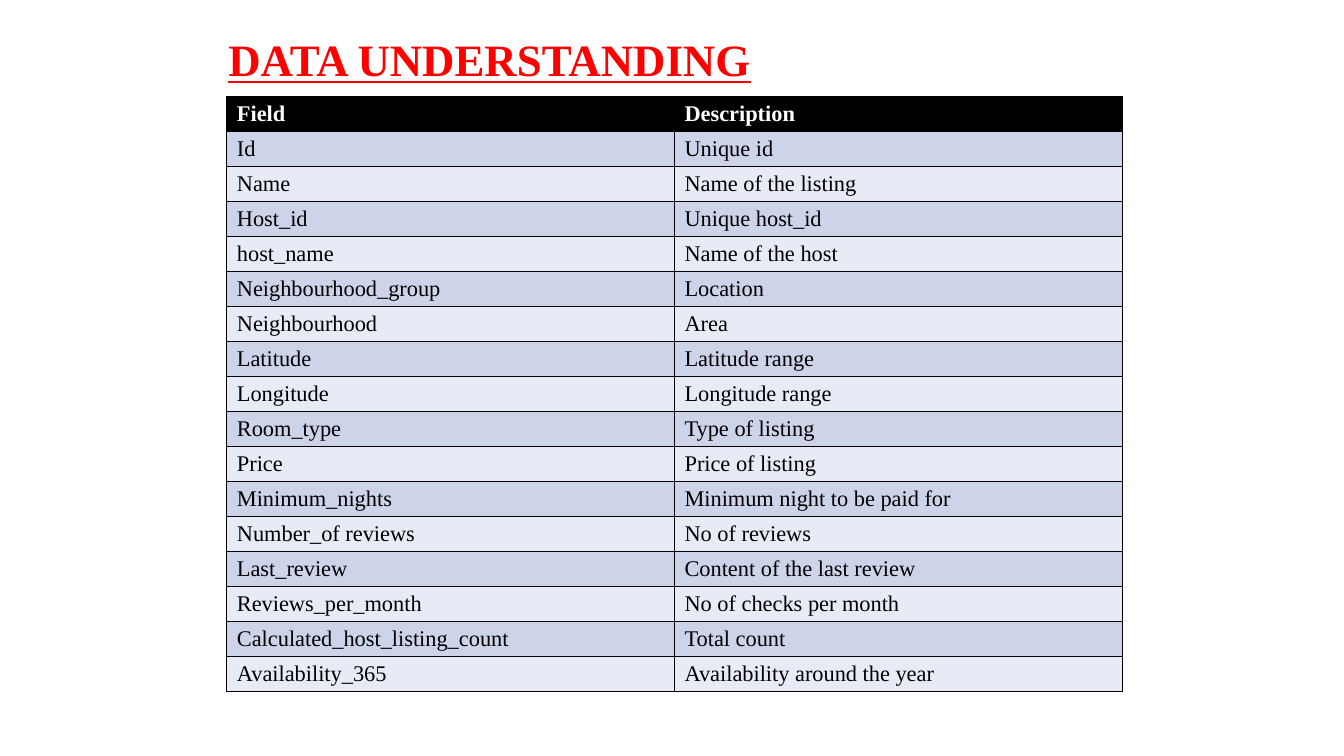
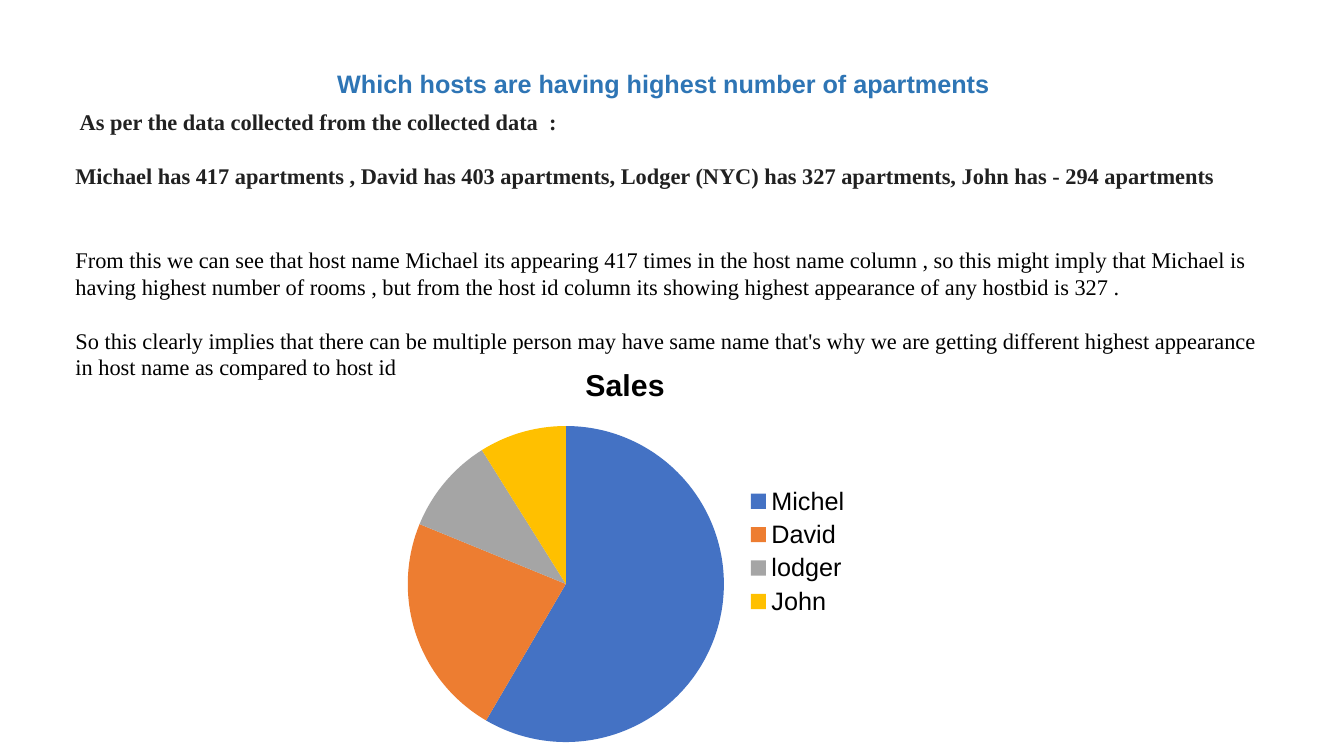
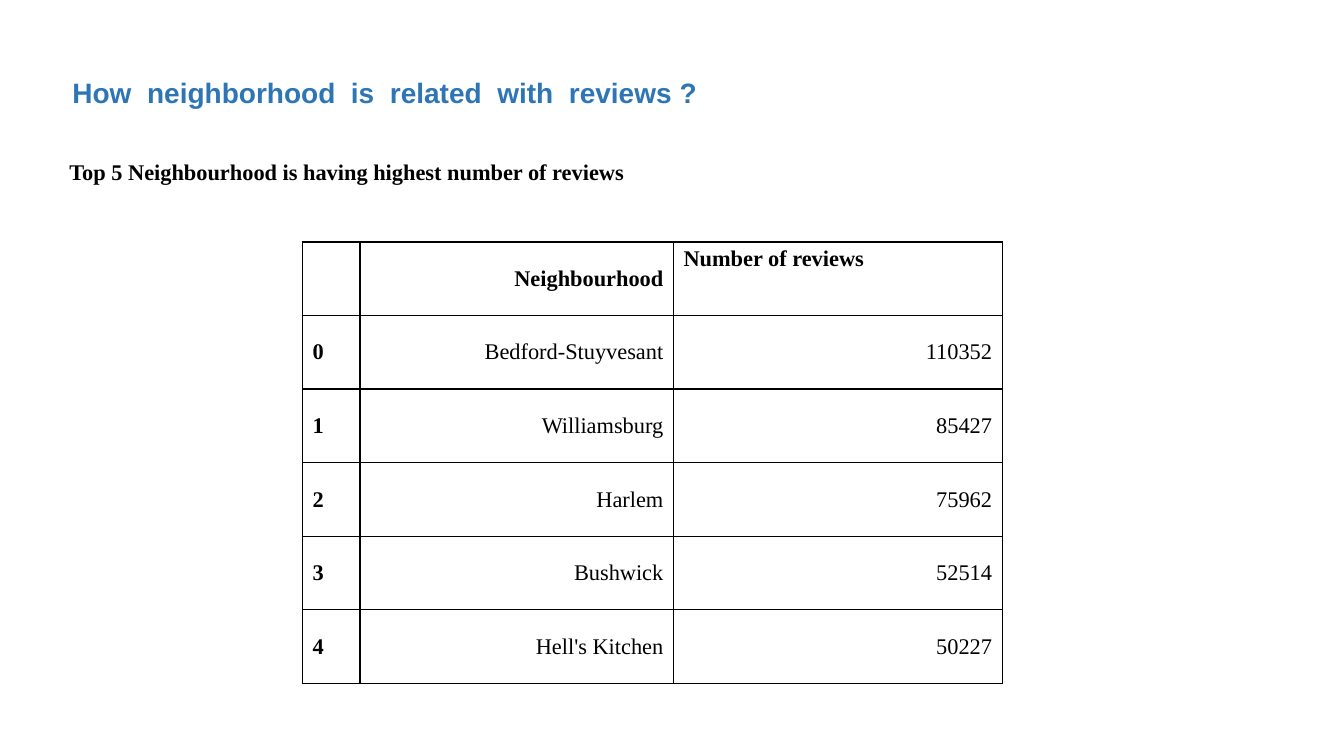
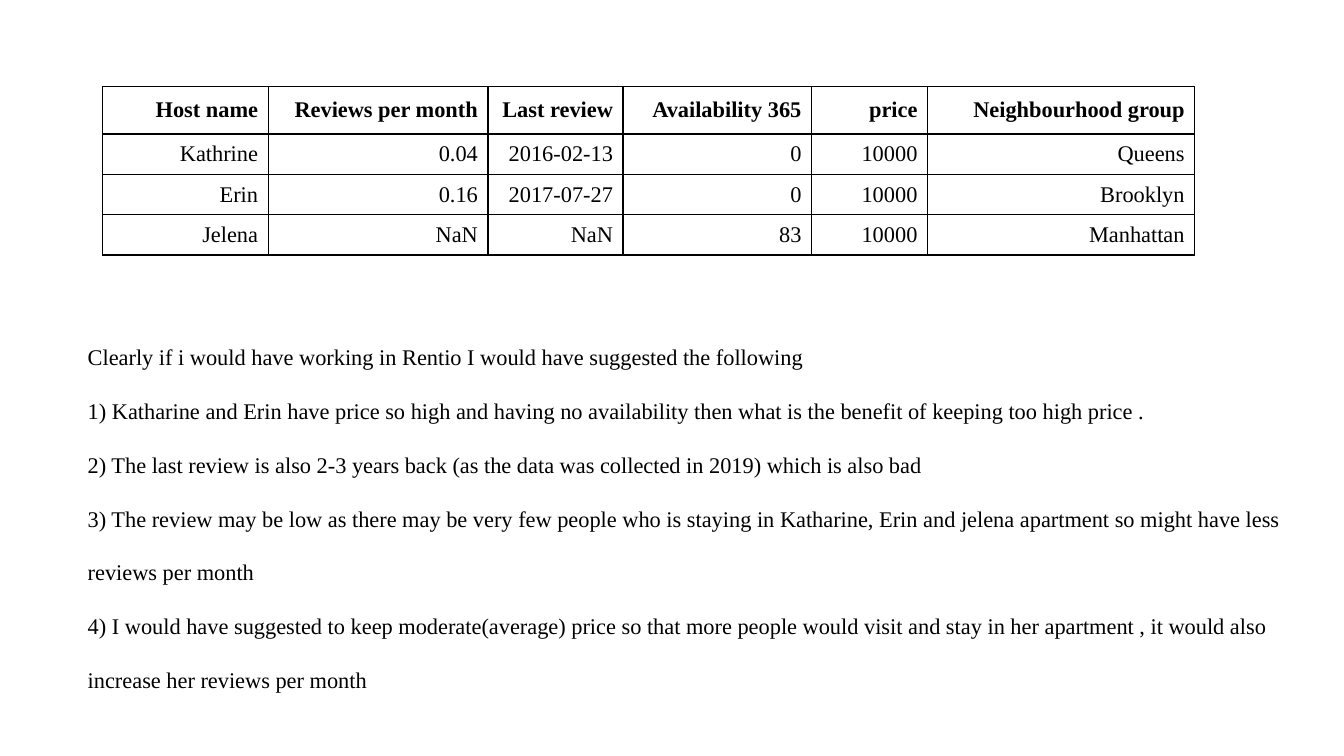
from dataclasses import dataclass

from lxml.etree import SubElement
from pptx import Presentation
from pptx.chart.data import CategoryChartData
from pptx.dml.color import RGBColor
from pptx.enum.chart import XL_CHART_TYPE as ChartType, XL_LEGEND_POSITION as LegendPosition
from pptx.enum.shapes import MSO_SHAPE as Preset
from pptx.enum.text import MSO_ANCHOR as Anchor, MSO_AUTO_SIZE as AutoSize, PP_ALIGN as Align
from pptx.oxml.ns import qn
from pptx.util import Inches, Pt

TITLE_AND_BODY, TITLE_ONLY = 1, 5


# Shared style
@dataclass(frozen=True)
class Theme:
    serif: str = "Times New Roman"
    sans: str = "Arial"
    black: str = "000000"
    white: str = "FFFFFF"
    charcoal: str = "212121"
    red: str = "FF0000"
    blue: str = "2E75B5"
    bands: tuple = ("CDD4EA", "E8EBF5")
    slices: tuple = ("4472C4", "ED7D31", "A5A5A5", "FFC000")
    text: float = 16
    label: float = 18
    chart_title: float = 21.6
    question: float = 20
    heading: float = 32
    border: float = 1


THEME = Theme()
BODY = {"name": THEME.serif, "size": THEME.text, "color": THEME.black, "bold": False}
STRONG = BODY | {"bold": True}
QUESTION = {"name": THEME.sans, "size": THEME.label, "color": THEME.blue, "bold": True}


def set_all(target, **values):
    for attribute, value in values.items():
        setattr(target, attribute, value)


def set_font(font, look):
    for attribute, value in look.items():
        if attribute == "color":
            font.color.rgb = RGBColor.from_string(value)
        else:
            setattr(font, attribute, Pt(value) if attribute == "size" else value)


def set_fill(fill, color):
    if color:
        fill.solid()
        fill.fore_color.rgb = RGBColor.from_string(color)
    else:
        fill.background()


class Deck:
    def __init__(self, theme):
        self.theme = theme
        self.prs = Presentation()
        set_all(self.prs, slide_width=Inches(13.33), slide_height=Inches(7.5))
        self.slide = None

    def new_slide(self, layout=TITLE_ONLY):
        self.slide = self.prs.slides.add_slide(self.prs.slide_layouts[layout])

    def place(self, shape, box):
        sides = ("left", "top", "width", "height")
        set_all(shape, **dict(zip(sides, map(Inches, box))))
        return shape

    def fill_text(self, frame, lines, anchor=Anchor.TOP, **paragraph_format):
        """Fill a frame with (text, look, space before) lines."""
        set_all(frame, word_wrap=True, auto_size=AutoSize.NONE, vertical_anchor=anchor)
        for index, (text, look, gap) in enumerate(lines):
            paragraph = frame.add_paragraph() if index else frame.paragraphs[0]
            set_all(paragraph, space_before=Pt(gap), **paragraph_format)
            run = paragraph.add_run()
            run.text = text
            set_font(run.font, look)

    def title(self, text, box, look, **settings):
        heading = self.place(self.slide.shapes.title, box)
        self.fill_text(heading.text_frame, [(text, look, 0)], **settings)

    def text(self, text, box, look):
        label = self.slide.shapes.add_textbox(*map(Inches, box))
        self.fill_text(label.text_frame, [(text, look, 0)])

    def panel(self, lines, box, **settings):
        panel = self.slide.shapes.add_shape(Preset.RECTANGLE, *map(Inches, box))
        panel.shadow.inherit = False
        panel.line.fill.background()
        set_fill(panel.fill, self.theme.white)
        set_all(panel.text_frame, margin_top=Inches(0.02), margin_bottom=0)
        self.fill_text(panel.text_frame, lines, alignment=Align.LEFT, **settings)

    def body(self, lines, box, **settings):
        """Use the body placeholder alone, without bullets."""
        heading = self.slide.shapes.title.element
        heading.getparent().remove(heading)
        content = self.place(self.slide.placeholders[1], box)
        self.fill_text(content.text_frame, [(line, BODY, 0) for line in lines], **settings)
        for paragraph in content.text_frame.paragraphs:
            properties = paragraph._p.get_or_add_pPr()
            for indent in ("marL", "indent"):
                properties.set(indent, "0")
            SubElement(properties, qn("a:buNone"))

    def cell_borders(self, cell):
        properties = cell._tc.get_or_add_tcPr()
        for side in ("lnL", "lnR", "lnT", "lnB"):
            line = SubElement(properties, qn(f"a:{side}"), w=str(Pt(self.theme.border)))
            paint = SubElement(line, qn("a:solidFill"))
            SubElement(paint, qn("a:srgbClr"), val=self.theme.black)

    def table(self, rows, corner, widths, heights, cell_format):
        """cell_format(row, column) gives look, fill, alignment and anchor."""
        size = (sum(widths), sum(heights))
        table = self.slide.shapes.add_table(
            len(rows), len(widths), *map(Inches, corner + size)).table
        set_all(table, first_row=False, horz_banding=False)
        for column, width in zip(table.columns, widths):
            column.width = Inches(width)
        for row, height in zip(table.rows, heights):
            row.height = Inches(height)
        for r, values in enumerate(rows):
            for c, value in enumerate(values):
                cell = table.cell(r, c)
                look, fill, alignment, anchor = cell_format(r, c)
                self.cell_borders(cell)
                set_fill(cell.fill, fill)
                cell.vertical_anchor = anchor
                paragraph = cell.text_frame.paragraphs[0]
                paragraph.alignment = alignment
                if value:
                    run = paragraph.add_run()
                    run.text = value
                    set_font(run.font, look)

    def pie(self, name, shares, box):
        data = CategoryChartData()
        data.categories = list(shares)
        data.add_series(name, list(shares.values()))
        chart = self.slide.shapes.add_chart(ChartType.PIE, *map(Inches, box), data).chart
        look = {"name": self.theme.sans, "size": self.theme.label, "color": self.theme.black}
        set_font(chart.font, look)
        chart.has_title = True
        caption = chart.chart_title.text_frame.paragraphs[0].add_run()
        caption.text = name
        set_font(caption.font, look | {"size": self.theme.chart_title, "bold": True})
        chart.has_legend = True
        set_all(chart.legend, position=LegendPosition.RIGHT, include_in_layout=False)
        plot = chart.plots[0]
        plot.vary_by_categories = True
        for index, color in enumerate(self.theme.slices):
            set_fill(plot.series[0].points[index].format.fill, color)


# Slide 1: the fields of the data set
def data_fields(deck):
    fields = [
        ("Field", "Description"),
        ("Id", "Unique id"),
        ("Name", "Name of the listing"),
        ("Host_id", "Unique host_id"),
        ("host_name", "Name of the host"),
        ("Neighbourhood_group", "Location"),
        ("Neighbourhood", "Area"),
        ("Latitude", "Latitude range"),
        ("Longitude", "Longitude range"),
        ("Room_type", "Type of listing"),
        ("Price", "Price of listing"),
        ("Minimum_nights", "Minimum night to be paid for"),
        ("Number_of reviews", "No of reviews"),
        ("Last_review", "Content of the last review"),
        ("Reviews_per_month", "No of checks per month"),
        ("Calculated_host_listing_count", "Total count"),
        ("Availability_365", "Availability around the year"),
    ]

    def banded(row, column):
        if row == 0:
            return STRONG | {"color": THEME.white}, THEME.black, Align.LEFT, Anchor.TOP
        return BODY, THEME.bands[(row - 1) % 2], Align.LEFT, Anchor.TOP

    deck.new_slide()
    heading = STRONG | {"size": THEME.heading, "color": THEME.red, "underline": True}
    deck.title("DATA UNDERSTANDING", (2.04, 0.26, 5.63, 0.72), heading,
               anchor=Anchor.MIDDLE, alignment=Align.CENTER, line_spacing=0.9)
    deck.table(fields, (2.25, 0.96), (4.44, 4.44), (0.31,) * len(fields), banded)


# Slide 2: hosts with the most apartments
def top_hosts(deck):
    finding = STRONG | {"color": THEME.charcoal}
    deck.new_slide()
    deck.title("Which hosts are having highest number of apartments ",
               (3.09, 0.63, 7.05, 0.4), QUESTION, alignment=Align.CENTER)
    deck.panel([
        (" As per the data collected from the collected data  :", finding, 0),
        ("Michael has 417 apartments , David has 403 apartments, Lodger (NYC) has 327 "
         "apartments, John has - 294 apartments", finding, 19.5),
        ("From this we can see that host name Michael its appearing 417 times in the host "
         "name column , so this might imply that Michael is having highest number of rooms , "
         "but from the host id column its showing highest appearance of any hostbid is 327 .",
         BODY, 41),
        ("So this clearly implies that there can be multiple person may have same name that's "
         "why we are getting different highest appearance in host name as compared to host id",
         BODY, 19.5),
    ], (0.65, 1.06, 12.13, 3.94), line_spacing=Pt(19))
    deck.pie("Sales", {"Michel": 59, "David": 23, "lodger": 10, "John": 9},
             (3.86, 3.44, 4.68, 4.06))


# Slide 3: neighbourhoods with the most reviews
def neighbourhood_reviews(deck):
    reviews = {"Bedford-Stuyvesant": 110352, "Williamsburg": 85427, "Harlem": 75962,
               "Bushwick": 52514, "Hell's Kitchen": 50227}
    rows = [("", "Neighbourhood", "Number of reviews")]
    rows += [(str(rank), area, str(count)) for rank, (area, count) in enumerate(reviews.items())]

    def ranked(row, column):
        look = STRONG if row == 0 or column == 0 else BODY
        last_header = (row, column) == (0, 2)
        alignment = Align.LEFT if column == 0 or last_header else Align.RIGHT
        return look, None, alignment, Anchor.TOP if last_header else Anchor.MIDDLE

    deck.new_slide()
    deck.title(" How  neighborhood  is  related  with  reviews ?", (0.54, 0.47, 6.6, 0.59),
               QUESTION | {"size": THEME.question}, alignment=Align.LEFT, line_spacing=1.7)
    deck.text("Top 5 Neighbourhood is having highest number of reviews",
              (0.59, 1.52, 5.77, 0.37), STRONG)
    deck.table(rows, (3, 2.4), (0.57, 3.11, 3.26), (0.73,) * len(rows), ranked)


# Slide 4: the dearest listings and advice
def price_advice(deck):
    listings = [
        ("Host name", "Reviews per month", "Last review", "Availability 365", "price",
         "Neighbourhood group"),
        ("Kathrine", "0.04", "2016-02-13", "0", "10000", "Queens"),
        ("Erin", "0.16", "2017-07-27", "0", "10000", "Brooklyn"),
        ("Jelena", "NaN", "NaN", "83", "10000", "Manhattan"),
    ]

    def plain(row, column):
        return BODY if row else STRONG, THEME.white, Align.RIGHT, Anchor.MIDDLE

    deck.new_slide(TITLE_AND_BODY)
    deck.body([
        "Clearly if i would have working in Rentio I would have suggested the following",
        "1) Katharine and Erin have price so high and having no availability then what is the "
        "benefit of keeping too high price .",
        "2) The last review is also 2-3 years back (as the data was collected in 2019) which "
        "is also bad",
        "3) The review may be low as there may be very few people who is staying in Katharine, "
        "Erin and jelena apartment so might have less reviews per month",
        "4) I would have suggested to keep moderate(average) price so that more people would "
        "visit and stay in her apartment , it would also increase her reviews per month",
    ], (0.77, 3.09, 12.17, 3.87), line_spacing=Pt(38.4), alignment=Align.LEFT)
    deck.table(listings, (1.02, 0.86), (1.64, 2.18, 1.34, 1.87, 1.15, 2.65),
               (0.47, 0.4, 0.4, 0.4), plain)


def main():
    deck = Deck(THEME)
    for build in (data_fields, top_hosts, neighbourhood_reviews, price_advice):
        build(deck)
    deck.prs.save("out.pptx")


if __name__ == "__main__":
    main()
